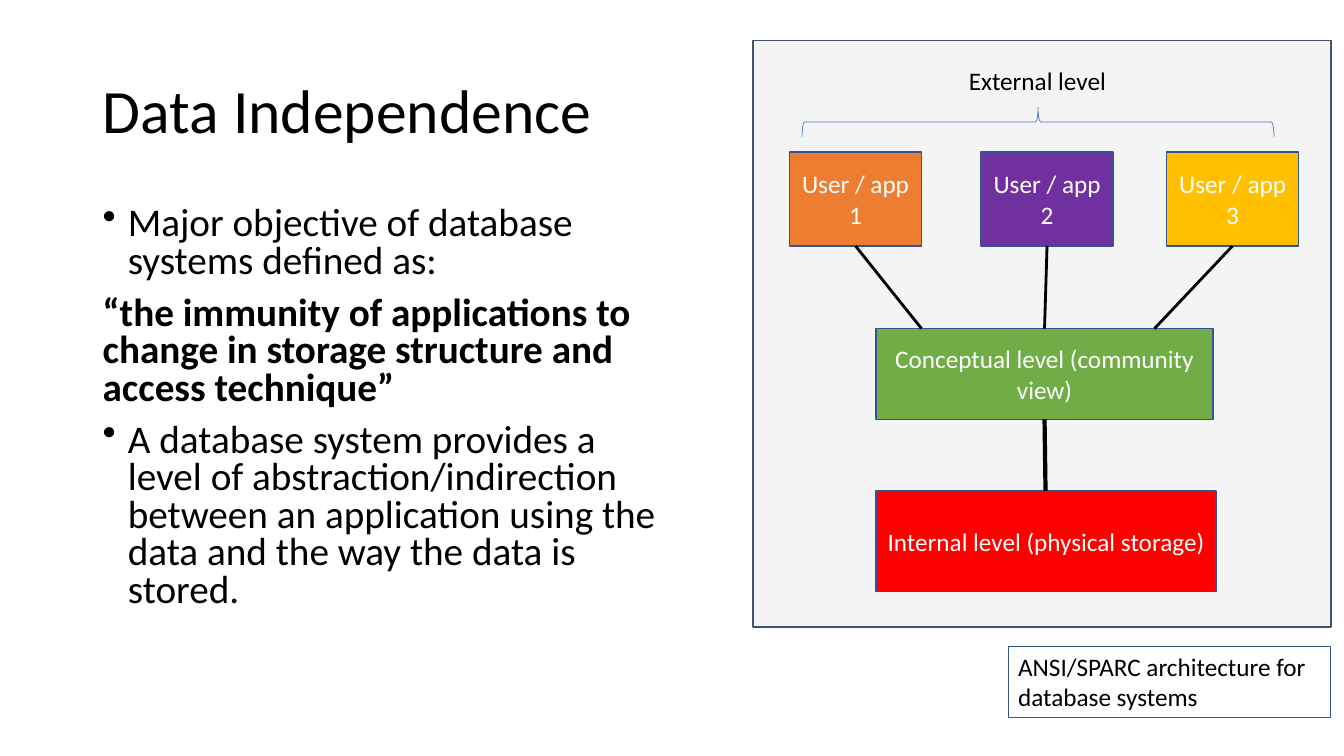
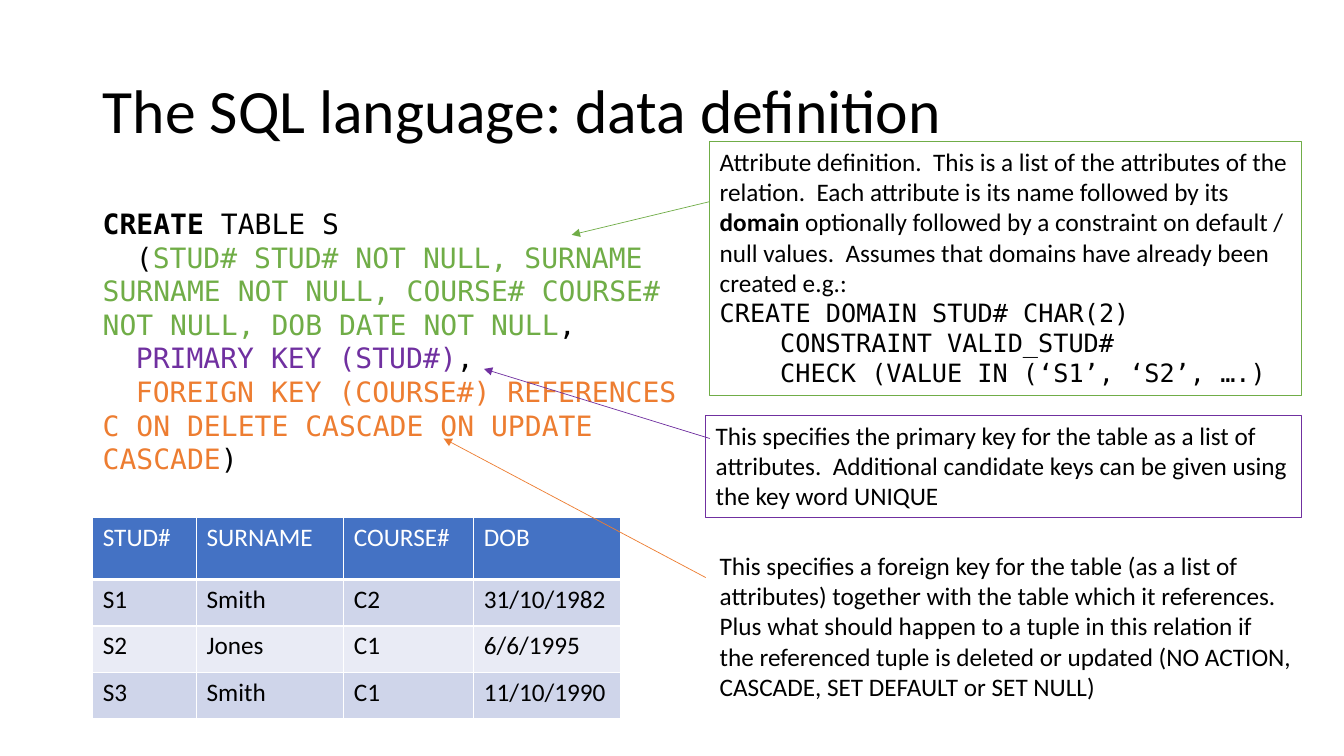
from lxml import etree
from pptx import Presentation
from pptx.dml.color import RGBColor
from pptx.enum.shapes import MSO_CONNECTOR, MSO_SHAPE
from pptx.enum.text import MSO_ANCHOR as ANCHOR, MSO_AUTO_SIZE as AUTO, PP_ALIGN as ALIGN
from pptx.oxml.ns import qn
from pptx.util import Emu, Pt

SCALE = 9144  # EMU in one px, 100 px to the inch
SANS, MONO = "Calibri", "DejaVu Sans Mono"

BLACK = RGBColor(0x00, 0x00, 0x00)
WHITE = RGBColor(0xFF, 0xFF, 0xFF)
GREY = RGBColor(0xE7, 0xE6, 0xE6)
SLATE = RGBColor(0x44, 0x54, 0x6A)
NAVY = RGBColor(0x32, 0x54, 0x91)
BLUE = RGBColor(0x44, 0x72, 0xC4)
ORANGE = RGBColor(0xED, 0x7D, 0x31)
PURPLE = RGBColor(0x70, 0x30, 0xA0)
GOLD = RGBColor(0xFF, 0xC0, 0x00)
GREEN = RGBColor(0x70, 0xAD, 0x47)
RED = RGBColor(0xFF, 0x00, 0x00)
BAND_DARK = RGBColor(0xCF, 0xD5, 0xEA)
BAND_LIGHT = RGBColor(0xE9, 0xEB, 0xF5)


def px(*lengths):
    return [Emu(round(n * SCALE)) for n in lengths]


# Text

def style(font, size, color=BLACK, name=SANS, bold=False):
    font.size, font.name, font.bold = Pt(size), name, bold
    font.color.rgb = color


def add_par(tf, runs, size, color=BLACK, name=SANS, bold=False, left=0, first=0):
    """Add a paragraph; runs is a string or a list of (text, color, bold)."""
    p = tf.paragraphs[0] if not tf.text else tf.add_paragraph()
    style(p.font, size, color, name, bold)
    if left or first:
        pPr = p._p.get_or_add_pPr()
        pPr.set("marL", str(left * SCALE))
        pPr.set("indent", str(first * SCALE))
    if isinstance(runs, str):
        runs = [(runs, color, bold)]
    for text, run_color, run_bold in runs:
        r = p.add_run()
        r.text = text
        if run_color != color:
            r.font.color.rgb = run_color
        if run_bold != bold:
            r.font.bold = run_bold
    return p


def add_bullet(p):
    pPr = p._p.get_or_add_pPr()
    bullet = etree.Element(qn("a:buChar"), char="•")
    pPr.find(qn("a:defRPr")).addprevious(bullet)


def add_text(slide, box, wrap=True):
    tf = slide.shapes.add_textbox(*px(*box)).text_frame
    tf.word_wrap = wrap
    return tf


# Shapes and lines

def add_box(slide, box, fill=None, line=NAVY, width=1, kind=MSO_SHAPE.RECTANGLE):
    sp = slide.shapes.add_shape(kind, *px(*box))
    sp.shadow.inherit = False
    if fill is None:
        sp.fill.background()
    else:
        sp.fill.solid()
        sp.fill.fore_color.rgb = fill
    sp.line.color.rgb = line
    sp.line.width = Pt(width)
    return sp


def add_label_box(slide, box, text, fill):
    tf = add_box(slide, box, fill).text_frame
    tf.word_wrap = True
    tf.vertical_anchor = ANCHOR.MIDDLE
    add_par(tf, text, 18, WHITE).alignment = ALIGN.CENTER


def add_note_box(slide, box, line):
    tf = add_box(slide, box, line=line, width=0.75).text_frame
    tf.word_wrap = True
    tf.vertical_anchor = ANCHOR.TOP
    return tf


def add_note(slide, box, text, line):
    p = add_par(add_note_box(slide, box, line), text, 18)
    p.alignment = ALIGN.LEFT


def add_line(slide, start, end, color=BLACK, width=2, arrow=False):
    cx = slide.shapes.add_connector(MSO_CONNECTOR.STRAIGHT, *px(*start, *end))
    cx.line.color.rgb = color
    cx.line.width = Pt(width)
    if arrow:
        etree.SubElement(cx.line._get_or_add_ln(), qn("a:tailEnd"), type="triangle")
    etree.SubElement(cx._element.spPr, qn("a:effectLst"))


# Slide frame

def new_slide(prs, title):
    slide = prs.slides.add_slide(prs.slide_layouts[5])
    sp = slide.shapes.title
    sp.left, sp.top, sp.width, sp.height = px(92, 40, 1150, 145)
    tf = sp.text_frame
    tf.auto_size = AUTO.NONE
    tf.vertical_anchor = ANCHOR.MIDDLE
    p = add_par(tf, title, 44)
    p.alignment = ALIGN.LEFT
    p.line_spacing = 0.9
    return slide


# Slide 1 regions

def add_objectives(slide, box):
    tf = add_text(slide, box)
    points = [
        ("Major objective of database systems defined as:", True),
        ("“the immunity of applications to change in storage structure "
         "and access technique”", False),
        ("A database system provides a level of abstraction/indirection between "
         "an application using the data and the way the data is stored.", True),
    ]
    for text, bulleted in points:
        indent = 25 if bulleted else 0
        p = add_par(tf, text, 28, bold=not bulleted, left=indent, first=-indent)
        p.line_spacing = 0.8
        p.space_before = Pt(10)
        if bulleted:
            add_bullet(p)


def add_architecture(slide, box):
    x, y, w, h = box
    panel = add_box(slide, box, GREY, SLATE)
    color = panel.fill._xPr.find(qn("a:solidFill"))[0]
    etree.SubElement(color, qn("a:alpha"), val="41000")

    # Storage and community levels
    concept_x, concept_y, concept_w, concept_h = x + 122, y + 286, 334, 90
    internal_y = y + 447
    add_label_box(slide, (concept_x, internal_y, 337, 100),
                  "Internal level (physical storage)", RED)
    add_label_box(slide, (concept_x, concept_y, concept_w, concept_h),
                  "Conceptual level (community view)", GREEN)
    middle = concept_x + concept_w // 2
    add_line(slide, (middle, concept_y + concept_h), (middle + 1, internal_y), width=3)

    # External level: users, each joined to the conceptual level
    user_y, user_w, user_h = y + 111, 131, 93
    users = [(36, ORANGE, 167), (226, PURPLE, 289), (410, GOLD, 398)]
    for number, (dx, fill, joint) in enumerate(users, 1):
        add_label_box(slide, (x + dx, user_y, user_w, user_h),
                      f"User / app {number}", fill)
        add_line(slide, (x + dx + user_w / 2, user_y + user_h), (x + joint, concept_y))

    brace = add_box(slide, (x + 268, y - 153, 29, 468), line=BLUE, width=0.5,
                    kind=MSO_SHAPE.LEFT_BRACE)
    brace.rotation = 90
    add_par(add_text(slide, (x + 204, y + 20, 158, 40), wrap=False),
            "External level", 18)


def build_independence(prs):
    slide = new_slide(prs, "Data Independence")
    add_objectives(slide, (92, 200, 588, 452))
    add_architecture(slide, (747, 40, 573, 582))
    add_note(slide, (1000, 641, 320, 71),
             "ANSI/SPARC architecture for database systems", NAVY)


# Slide 2 regions

def add_create_table(slide, box):
    tf = add_text(slide, box)
    add_par(tf, [("CREATE", BLACK, True), (" TABLE S", BLACK, False)], 20, name=MONO)
    clauses = [
        ("(", "STUD# STUD# NOT NULL, SURNAME SURNAME NOT NULL, "
         "COURSE# COURSE# NOT NULL, DOB DATE NOT NULL", GREEN, ","),
        ("", "PRIMARY KEY (STUD#)", PURPLE, ","),
        ("", "FOREIGN KEY (COURSE#) REFERENCES C ON DELETE CASCADE "
         "ON UPDATE CASCADE", ORANGE, ")"),
    ]
    for before, clause, color, after in clauses:
        runs = [(before, BLACK, False), (clause, color, False), (after, BLACK, False)]
        add_par(tf, [run for run in runs if run[0]], 20, name=MONO, first=33)


def add_borders(cell, bottom):
    tcPr = cell._tc.get_or_add_tcPr()
    for side, width in (("L", 1), ("R", 1), ("T", 1), ("B", bottom)):
        ln = etree.SubElement(tcPr, qn(f"a:ln{side}"), w=str(Pt(width)))
        fill = etree.SubElement(ln, qn("a:solidFill"))
        etree.SubElement(fill, qn("a:srgbClr"), val=str(WHITE))


def add_students(slide, box):
    rows = [
        ("STUD#", "SURNAME", "COURSE#", "DOB"),
        ("S1", "Smith", "C2", "31/10/1982"),
        ("S2", "Jones", "C1", "6/6/1995"),
        ("S3", "Smith", "C1", "11/10/1990"),
    ]
    table = slide.shapes.add_table(len(rows), len(rows[0]), *px(*box)).table
    for column, width in zip(table.columns, px(103, 146, 129, 146)):
        column.width = width
    for row, height in zip(table.rows, px(62, 46, 46, 46)):
        row.height = height
    for i, texts in enumerate(rows):
        header = i == 0
        fill = BLUE if header else (BAND_LIGHT, BAND_DARK)[i % 2]
        for j, text in enumerate(texts):
            cell = table.cell(i, j)
            add_borders(cell, 3 if header else 1)
            cell.fill.solid()
            cell.fill.fore_color.rgb = fill
            add_par(cell.text_frame, text, 18, WHITE if header else BLACK)


def add_attribute_note(slide, box):
    tf = add_note_box(slide, box, GREEN)
    add_par(tf, [
        ("Attribute definition.  This is a list of the attributes of the relation.  "
         "Each attribute is its name followed by its ", BLACK, False),
        ("domain ", BLACK, True),
        ("optionally followed by a constraint on default / null values.  "
         "Assumes that domains have already been created e.g.:", BLACK, False),
    ], 18)
    for text, left in (("CREATE DOMAIN STUD# CHAR(2)", 0),
                       ("CONSTRAINT VALID_STUD#", 60),
                       ("CHECK (VALUE IN (‘S1’, ‘S2’, ….)", 60)):
        add_par(tf, text, 18, name=MONO, left=left)
    for p in tf.paragraphs:
        p.alignment = ALIGN.LEFT


def build_definition(prs):
    slide = new_slide(prs, "The SQL language: data definition")
    add_create_table(slide, (92, 200, 613, 310))
    add_students(slide, (92, 513, 524, 200))

    # Notes on the three clauses
    add_attribute_note(slide, (704, 140, 587, 252))
    add_note(slide, (700, 412, 591, 101),
             "This specifies the primary key for the table as a list of attributes.  "
             "Additional candidate keys can be given using the key word UNIQUE", PURPLE)
    add_par(add_text(slide, (704, 541, 587, 162)),
            "This specifies a foreign key for the table (as a list of attributes) "
            "together with the table which it references.  Plus what should happen "
            "to a tuple in this relation if the referenced tuple is deleted or "
            "updated (NO ACTION, CASCADE, SET DEFAULT or SET NULL)", 18)

    # Arrows from each note to its clause
    for start, end, color in (((704, 200), (567, 233), GREEN),
                              ((704, 435), (480, 366), PURPLE),
                              ((700, 573), (440, 435), ORANGE)):
        add_line(slide, start, end, color, 0.5, arrow=True)


def main():
    prs = Presentation()
    prs.slide_width, prs.slide_height = px(1333, 750)
    build_independence(prs)
    build_definition(prs)
    prs.save("out.pptx")


if __name__ == "__main__":
    main()
